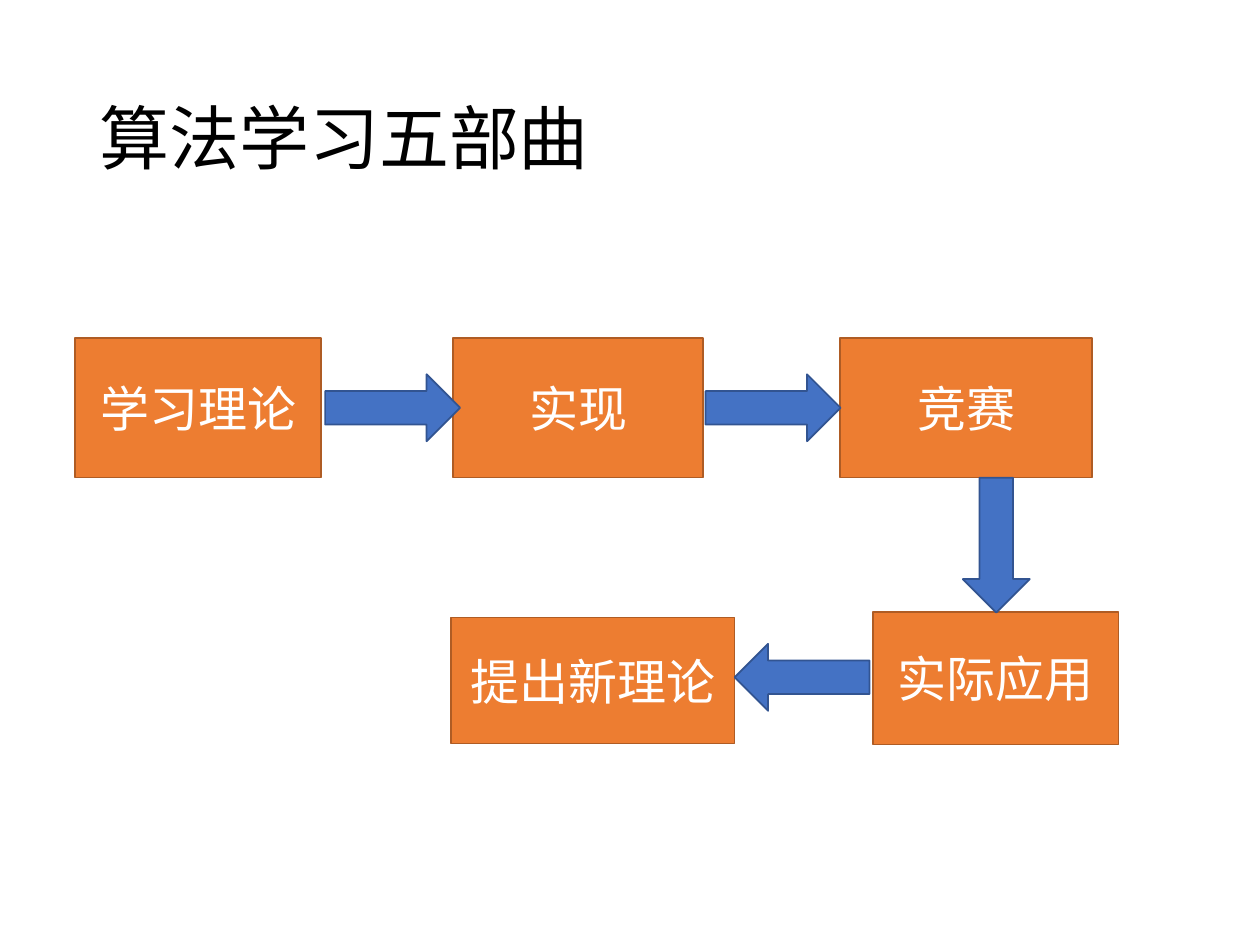
import pptx
import pptx.dml.color
import pptx.enum.shapes
import pptx.enum.text
import pptx.oxml.ns
import pptx.util
from lxml import etree

Cm = pptx.util.Cm
SHAPE = pptx.enum.shapes.MSO_SHAPE
ALIGN = pptx.enum.text.PP_ALIGN

FONT = "Noto Sans CJK SC"
COLORS = {
    "title": "000000",
    "label": "FFFFFF",
    "step": "ED7D31",
    "step_edge": "AF5C24",
    "arrow": "4472C4",
    "arrow_edge": "325491",
}
TITLE_FORMAT = {"size": pptx.util.Pt(40), "name": FONT, "bold": False}
LABEL_FORMAT = {"size": pptx.util.Pt(28), "name": FONT, "bold": False}

STEP_HEIGHT = 2.82
STEPS = [
    ("学习理论", 0, 0, 4.95, STEP_HEIGHT),
    ("实现", 7.62, 0, 5.03, STEP_HEIGHT),
    ("竞赛", 15.42, 0, 5.08, STEP_HEIGHT),
    ("实际应用", 16.08, 5.53, 4.95, 2.67),
    ("提出新理论", 7.57, 5.64, 5.72, 2.54),
]
ARROW_WIDTH, ARROW_LENGTH = 1.35, 2.72
ARROWS = [
    (SHAPE.DOWN_ARROW, 5.72, 0.05, ARROW_WIDTH, ARROW_LENGTH, 270),
    (SHAPE.DOWN_ARROW, 13.39, 0.05, ARROW_WIDTH, ARROW_LENGTH, 270),
    (SHAPE.DOWN_ARROW, 17.89, STEP_HEIGHT, ARROW_WIDTH, ARROW_LENGTH, 0),
    (SHAPE.LEFT_ARROW, 13.29, 6.17, ARROW_LENGTH, ARROW_WIDTH, 0),
]


def rgb(role):
    """Return the colour that belongs to a role."""
    return pptx.dml.color.RGBColor.from_string(COLORS[role])


def write_text(frame, wording, role, font_format, align):
    """Write one formatted paragraph, centred vertically in its frame."""
    frame.word_wrap = True
    frame.vertical_anchor = pptx.enum.text.MSO_ANCHOR.MIDDLE
    paragraph = frame.paragraphs[0]
    paragraph.alignment = align
    run = paragraph.add_run()
    run.text = wording
    for attribute, value in font_format.items():
        setattr(run.font, attribute, value)
    run.font.color.rgb = rgb(role)
    east_asian = etree.SubElement(run._r.get_or_add_rPr(), pptx.oxml.ns.qn("a:ea"))
    east_asian.set("typeface", FONT)
    return paragraph


def add_block(slide, kind, box, role):
    """Add a filled and outlined shape in a box given in centimetres."""
    block = slide.shapes.add_shape(kind, *map(Cm, box))
    block.shadow.inherit = False
    block.fill.solid()
    block.fill.fore_color.rgb = rgb(role)
    block.line.color.rgb = rgb(role + "_edge")
    block.line.width = pptx.util.Pt(1)
    return block


def place_title(slide, left, top, width, height):
    """Place and format the title placeholder."""
    title = slide.shapes.title
    bounds = {"left": left, "top": top, "width": width, "height": height}
    for attribute, value in bounds.items():
        setattr(title, attribute, Cm(value))
    heading = write_text(
        title.text_frame, "算法学习五部曲", "title", TITLE_FORMAT, ALIGN.LEFT
    )
    heading.line_spacing = 0.9


def place_flow(slide, left, top):
    """Place the five steps and the arrows that join them."""
    for wording, x, y, width, height in STEPS:
        step = add_block(
            slide, SHAPE.RECTANGLE, (left + x, top + y, width, height), "step"
        )
        write_text(step.text_frame, wording, "label", LABEL_FORMAT, ALIGN.CENTER)
    for kind, x, y, width, height, rotation in ARROWS:
        arrow = add_block(slide, kind, (left + x, top + y, width, height), "arrow")
        arrow.rotation = rotation


def main():
    """Build the slide and save it."""
    presentation = pptx.Presentation()
    presentation.slide_width = Cm(25.4)
    presentation.slide_height = Cm(19.05)
    slide = presentation.slides.add_slide(presentation.slide_layouts[5])
    place_title(slide, 1.75, 1.02, 21.89, 3.68)
    place_flow(slide, 1.52, 6.81)
    presentation.save("out.pptx")


if __name__ == "__main__":
    main()
